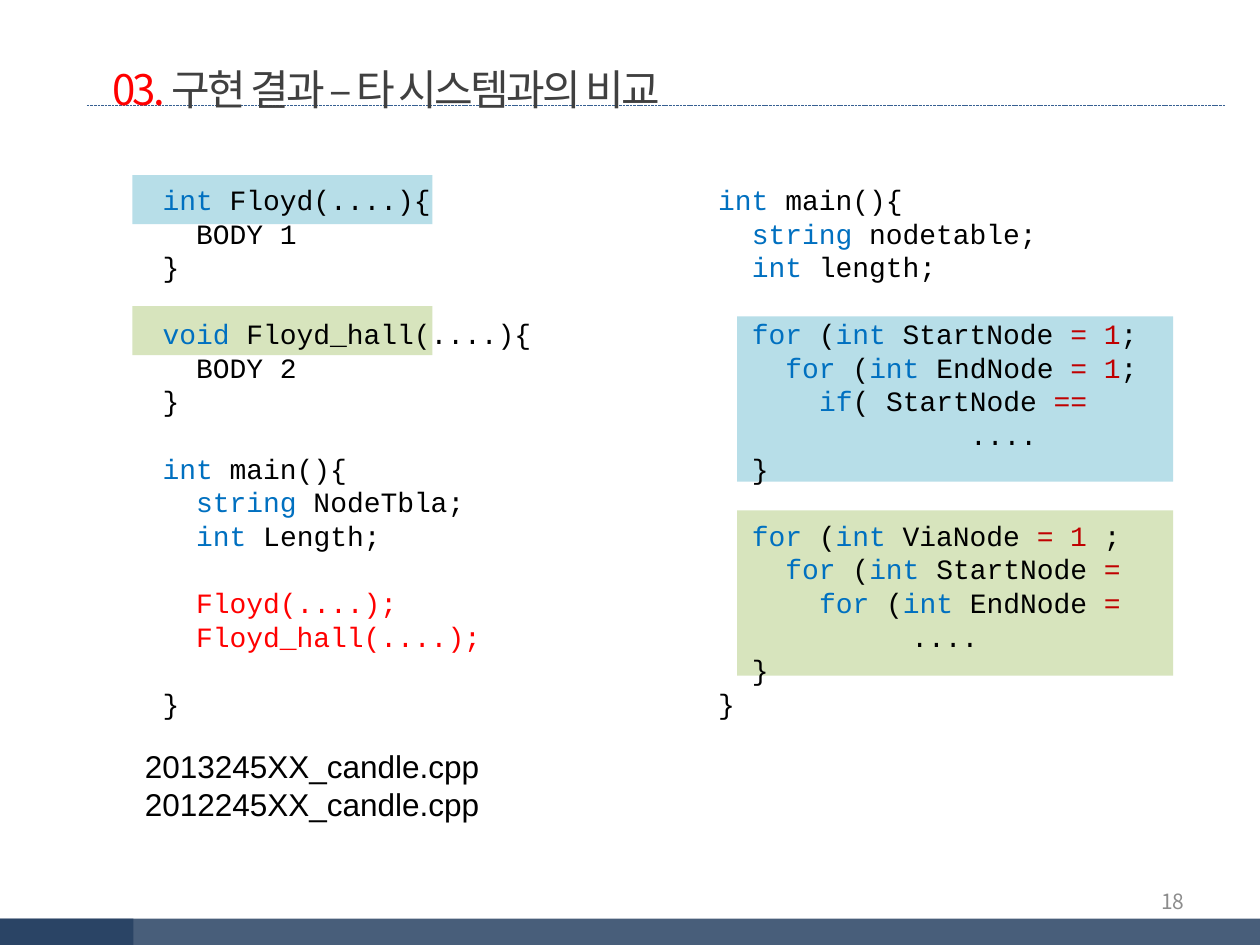
from lxml import etree
from pptx import Presentation
from pptx.dml.color import RGBColor
from pptx.enum.dml import MSO_LINE
from pptx.enum.shapes import MSO_CONNECTOR, MSO_SHAPE
from pptx.enum.text import MSO_ANCHOR, PP_ALIGN
from pptx.oxml.ns import qn
from pptx.util import Cm, Pt

RECTANGLE = MSO_SHAPE.RECTANGLE
STRAIGHT = MSO_CONNECTOR.STRAIGHT
SYSTEM_DASH = MSO_LINE.SQUARE_DOT
MIDDLE = MSO_ANCHOR.MIDDLE
RIGHT = PP_ALIGN.RIGHT

KEYWORD, PLAIN, VALUE, RED = "0070C0", "000000", "C00000", "FF0000"
BLUE_MARK, GREEN_MARK, NAVY = "B7DEE8", "D7E4BD", "254061"
KOREAN, CODE, SANS = "Noto Sans CJK KR", "Courier New", "Arial"
CODE_SIZE, CODE_PITCH, CHARACTER = 16, 19.2, 9.6
CODE_TOP, CODE_HEIGHT = 3.33, 11.56

TITLE = [("03. ", RED), ("구현 결과 – 타 시스템과의 비교", "404040")]
FILES = ["2013245XX_candle.cpp", "2012245XX_candle.cpp"]

FUNCTION_LINES = [
    (0, 0, [("int", KEYWORD), (" Floyd(....){", PLAIN)]),
    (2, 0, [("BODY 1", PLAIN)]),
    (0, 0, [("}", PLAIN)]),
    (0, 1, [("void", KEYWORD), (" Floyd_hall(....){", PLAIN)]),
    (2, 0, [("BODY 2", PLAIN)]),
    (0, 0, [("}", PLAIN)]),
    (0, 1, [("int", KEYWORD), (" main(){", PLAIN)]),
    (2, 0, [("string", KEYWORD), (" NodeTbla;", PLAIN)]),
    (2, 0, [("int", KEYWORD), (" Length;", PLAIN)]),
    (2, 1, [("Floyd(....);", RED)]),
    (2, 0, [("Floyd_hall(....);", RED)]),
    (0, 1, [("}", PLAIN)]),
]


def loop_line(indent, gap, variable, value, ending=""):
    """Describe one for line of the inlined code."""
    runs = [("for ", KEYWORD), ("(", PLAIN), ("int", KEYWORD),
            (f" {variable} ", PLAIN), (value, VALUE)]
    return indent, gap, runs + ([(ending, PLAIN)] if ending else [])


INLINE_LINES = [
    (0, 0, [("int", KEYWORD), (" main(){", PLAIN)]),
    (2, 0, [("string", KEYWORD), (" nodetable;", PLAIN)]),
    (2, 0, [("int", KEYWORD), (" length;", PLAIN)]),
    loop_line(2, 1, "StartNode", "= 1", ";"),
    loop_line(4, 0, "EndNode", "= 1", ";"),
    (6, 0, [("if", KEYWORD), ("( StartNode ", PLAIN), ("==", VALUE)]),
    (15, 0, [("....", PLAIN)]),
    (2, 0, [("}", PLAIN)]),
    loop_line(2, 1, "ViaNode", "= 1 ", ";"),
    loop_line(4, 0, "StartNode", "="),
    loop_line(6, 0, "EndNode", "="),
    (11.5, 0, [("....", PLAIN)]),
    (2, 0, [("}", PLAIN)]),
    (0, 0, [("}", PLAIN)]),
]

PANELS = [
    {"left": 2.67, "width": 9.4, "lines": FUNCTION_LINES,
     "marks": [(2.67, 6.17, 6.05, 0.99, GREEN_MARK), (2.67, 3.53, 6.05, 0.99, BLUE_MARK)]},
    {"left": 13.87, "width": 21.77, "lines": INLINE_LINES,
     "marks": [(14.86, 10.29, 8.79, 3.33, GREEN_MARK), (14.86, 6.38, 8.79, 3.33, BLUE_MARK)]},
]
FOOTER_BARS = [(0, 18.52, 25.4, 0.53), (0, 18.52, 2.69, 0.53)]


def color(value):
    """Turn a hex string into a colour."""
    return RGBColor.from_string(value)


def apply(target, values):
    """Set every attribute named in a dict."""
    for name, value in values.items():
        setattr(target, name, value)


def add_rectangle(shapes, left, top, width, height, fill, opacity=100):
    """Add a borderless filled rectangle."""
    shape = shapes.add_shape(RECTANGLE, Cm(left), Cm(top), Cm(width), Cm(height))
    shape.shadow.inherit = False
    shape.fill.solid()
    shape.fill.fore_color.rgb = color(fill)
    shape.line.fill.background()
    if opacity < 100:
        tint = shape.fill._xPr.find(".//" + qn("a:srgbClr"))
        etree.SubElement(tint, qn("a:alpha")).set("val", str(opacity * 1000))


def add_text(shapes, box, lines, size, font, frame=None, layout=None, spacing=0):
    """Add a text box from (indent, gap, runs) lines."""
    text_frame = shapes.add_textbox(*map(Cm, box)).text_frame
    apply(text_frame, {"word_wrap": True, **(frame or {})})
    for index, (indent, gap, runs) in enumerate(lines):
        paragraph = text_frame.paragraphs[0] if index == 0 else text_frame.add_paragraph()
        apply(paragraph, layout or {})
        if gap:
            paragraph.space_before = Pt(gap * CODE_PITCH)
        if indent:
            properties = paragraph._p.get_or_add_pPr()
            properties.set("marL", str(Pt(indent * CHARACTER)))
            properties.set("indent", "0")
        for text, shade in runs:
            run = paragraph.add_run()
            run.text = text
            apply(run.font, {"size": Pt(size), "name": font})
            run.font.color.rgb = color(shade)
            properties = run._r.get_or_add_rPr()
            etree.SubElement(properties, qn("a:ea")).set("typeface", font)
            if spacing:
                properties.set("spc", str(int(spacing * 100)))


def add_rule(shapes):
    """Add the dashed line under the title."""
    rule = shapes.add_connector(STRAIGHT, Cm(1.75), Cm(2.13), Cm(24.69), Cm(2.13))
    apply(rule.line, {"width": Pt(0.5), "dash_style": SYSTEM_DASH})
    rule.line.color.rgb = color("376092")
    etree.SubElement(rule._element.spPr, qn("a:effectLst"))


def main():
    """Build and save the slide."""
    presentation = Presentation()
    apply(presentation, {"slide_width": Cm(25.4), "slide_height": Cm(19.05)})
    slide = presentation.slides.add_slide(presentation.slide_layouts[6])
    shapes = slide.shapes

    add_rule(shapes)
    add_text(shapes, (2.01, 0.64, 12.47, 1.6), [(0, 0, TITLE)], 24, KOREAN,
             {"word_wrap": False}, {"line_spacing": 1.5}, -1.5)
    for bar in FOOTER_BARS:
        add_rectangle(shapes, *bar, NAVY, 84)

    code_frame = {"margin_left": Cm(0.61), "margin_right": Cm(0.61),
                  "margin_top": Cm(0.35), "margin_bottom": Cm(0.3)}
    for panel in PANELS:
        group = shapes.add_group_shape()
        for mark in panel["marks"]:
            add_rectangle(group.shapes, *mark)
        box = (panel["left"], CODE_TOP, panel["width"], CODE_HEIGHT)
        add_text(group.shapes, box, panel["lines"], CODE_SIZE, CODE,
                 code_frame, {"line_spacing": Pt(CODE_PITCH)})

    add_text(shapes, (2.67, 14.94, 18.8, 1.02),
             [(0, 0, [(name, PLAIN)]) for name in FILES], 18, SANS)
    add_text(shapes, (18.21, 17.65, 5.92, 1.02), [(0, 0, [("18", "8C8C8C")])], 12, KOREAN,
             {"vertical_anchor": MIDDLE}, {"alignment": RIGHT})
    presentation.save("out.pptx")


if __name__ == "__main__":
    main()
